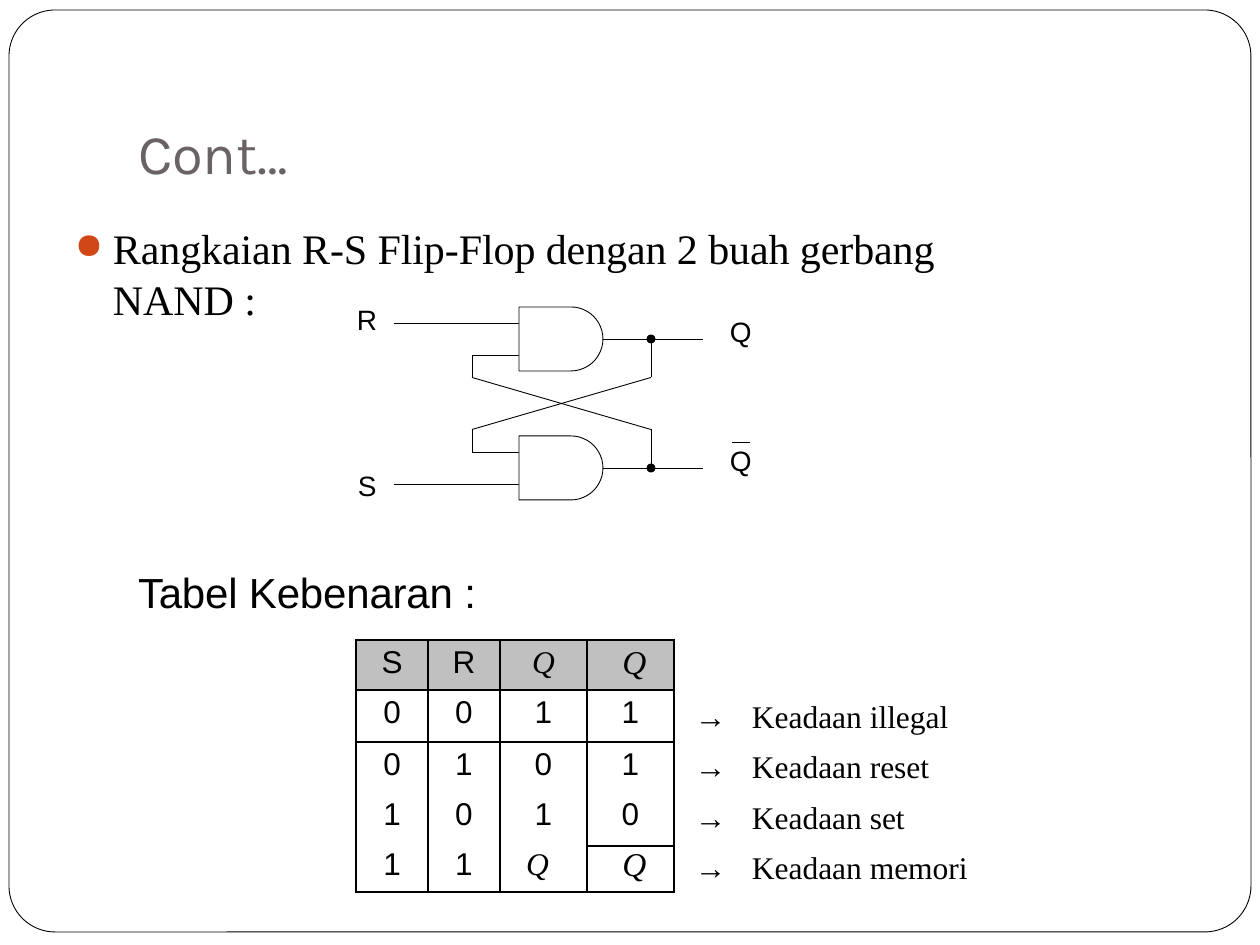
import math
import pptx
import pptx.dml.color
import pptx.enum.shapes
import pptx.enum.text
import pptx.oxml
import pptx.oxml.ns
import pptx.util
from lxml import etree

PX = 914400 / 126
ALIGN = pptx.enum.text.PP_ALIGN
SHAPE = pptx.enum.shapes.MSO_SHAPE
SANS, SERIF = "Arial", "Times New Roman"
BLACK, GREY = "000000", "C0C0C0"


def px(*vals):
    return [round(v * PX) for v in vals]


def rgb(code):
    return pptx.dml.color.RGBColor.from_string(code)


def sub(parent, tag, **attrs):
    node = etree.SubElement(parent, pptx.oxml.ns.qn(tag))
    for key, val in attrs.items():
        node.set(key, str(val))
    return node


def write(para, text, size=18, font=SANS, color=BLACK, italic=False,
          spc=0, align=ALIGN.LEFT):
    """Add one formatted run to a paragraph."""
    para.alignment = align
    run = para.add_run()
    run.text = text
    run.font.size = pptx.util.Pt(size)
    run.font.name = font
    run.font.italic = italic
    run.font.color.rgb = rgb(color)
    if spc:
        run.font._element.set("spc", str(spc))


def setup(frame, top=0):
    frame.word_wrap = True
    frame.vertical_anchor = pptx.enum.text.MSO_ANCHOR.TOP
    frame.margin_left = frame.margin_right = frame.margin_bottom = 0
    frame.margin_top = px(top)[0]
    return frame


def label(slide, box, text, **fmt):
    frame = setup(slide.shapes.add_textbox(*px(*box)).text_frame)
    write(frame.paragraphs[0], text, **fmt)
    return frame.paragraphs[0]


def paint(shape, fill=None):
    shape.shadow.inherit = False
    if fill:
        shape.fill.solid()
        shape.fill.fore_color.rgb = rgb(fill)
    else:
        shape.fill.background()
    shape.line.color.rgb = rgb(BLACK)
    shape.line.width = pptx.util.Pt(0.5)


def wire(slide, *points):
    """Join successive points with straight lines."""
    for start, end in zip(points, points[1:]):
        line = slide.shapes.add_connector(
            pptx.enum.shapes.MSO_CONNECTOR.STRAIGHT, *px(*start, *end))
        line.line.color.rgb = rgb(BLACK)
        line.line.width = pptx.util.Pt(0.5)
        sub(line._element.spPr, "a:effectLst")


def gate(slide, x, y, w, h):
    """D-shaped gate: a straight part, then a half circle."""
    r = h / 2
    arc = [(x + w - r + r * math.sin(a), y + r - r * math.cos(a))
           for a in (math.pi * i / 24 for i in range(25))]
    build = slide.shapes.build_freeform(*px(x, y))
    build.add_line_segments([px(*p) for p in arc + [(x, y + h)]], close=True)
    paint(build.convert_to_shape(), "FFFFFF")


def circuit(slide, x, y):
    """Two cross-coupled gates, inputs on the left, outputs on the right."""
    w, h, gap = 84, 64, 129
    left, loop, node, end = x + 125, x + 78, x + 257, x + 309
    mid = y + (gap + h) / 2
    for top, way in ((y, 1), (y + gap, -1)):
        axis = top + h / 2
        outer, inner = axis - 16 * way, axis + 16 * way
        near, far = mid - 26 * way, mid + 26 * way
        wire(slide, (x, outer), (left, outer))
        wire(slide, (left, inner), (loop, inner), (loop, near),
             (node, far), (node, axis + gap * way))
        wire(slide, (left + w, axis), (end, axis))
        gate(slide, left, top, w, h)
        dot = slide.shapes.add_shape(SHAPE.OVAL, *px(node - 4, axis - 4, 8, 8))
        paint(dot, BLACK)
    for text, dx, dy in (("R", -37, -4), ("S", -36, 162),
                         ("Q", 336, 8), ("Q", 336, 137)):
        label(slide, (x + dx, y + dy, 26, 34), text, size=16, spc=20)
    wire(slide, (x + 338, y + 135), (x + 356, y + 135))


def border(cell, sides):
    props = cell._tc.get_or_add_tcPr()
    for side in "LRTB":
        line = sub(props, "a:ln" + side, w=12700 if side in sides else 0)
        if side in sides:
            sub(sub(line, "a:solidFill"), "a:srgbClr", val=BLACK)
        else:
            sub(line, "a:noFill")


def truth(slide, x, y):
    """Truth table with the state names to its right."""
    rows = ["SRQQ", "0011", "0101", "1010", "11QQ"]
    wide, high = [72, 72, 87, 87], [50, 52, 50, 54, 46]
    table = slide.shapes.add_table(
        5, 4, *px(x, y, sum(wide), sum(high))).table
    table.first_row = table.horz_banding = False
    for col, size in zip(table.columns, wide):
        col.width = px(size)[0]
    for r, row in enumerate(rows):
        table.rows[r].height = px(high[r])[0]
        for c, text in enumerate(row):
            cell = table.cell(r, c)
            sides = "LR" + ("T" if r < 3 or (r, c) == (4, 3) else "")
            if r in (0, 1, 4) or (r, c) == (3, 3):
                sides += "B"
            border(cell, sides)
            if r == 0:
                cell.fill.solid()
                cell.fill.fore_color.rgb = rgb(GREY)
            else:
                cell.fill.background()
            is_q = text == "Q"
            cell.margin_top = px(1 if r == 4 else 5)[0]
            cell.margin_bottom = 0
            cell.margin_left = px(8 if is_q and c == 3 else 0)[0]
            cell.margin_right = px(12 if is_q and (r, c) == (4, 2) else 0)[0]
            write(cell.text_frame.paragraphs[0], text, italic=is_q,
                  size=19 if is_q and c == 3 else 18,
                  font=SERIF if is_q else SANS, align=ALIGN.CENTER)

    # State names
    box = slide.shapes.add_textbox(*px(x + 339, y + 57, 275, 190))
    frame = setup(box.text_frame)
    for i, name in enumerate(("illegal", "reset", "set", "memori")):
        para = frame.add_paragraph() if i else frame.paragraphs[0]
        if i:
            para.space_before = pptx.util.Pt(7.2)
        tabs = sub(para._p.get_or_add_pPr(), "a:tabLst")
        sub(tabs, "a:tab", pos=px(57)[0], algn="l")
        write(para, "→")
        write(para, "\tKeadaan " + name, font=SERIF)


def heading(slide, x, y, w, h):
    title = slide.shapes.title
    title.left, title.top, title.width, title.height = px(x, y, w, h)
    write(setup(title.text_frame).paragraphs[0], "Cont…", size=32,
          font="Karla", color="696363")


def bullet(slide, x, y, w, h):
    para = label(slide, (x, y, w, h),
                 "Rangkaian R-S Flip-Flop dengan 2 buah gerbang NAND :",
                 size=24, font=SERIF, spc=-5)
    props = para._p.get_or_add_pPr()
    props.set("marL", str(px(39)[0]))
    props.set("indent", str(px(-38)[0]))
    sub(sub(props, "a:buClr"), "a:srgbClr", val="D24717")
    sub(props, "a:buSzPct", val=85000)
    sub(props, "a:buChar", char="●")


def main():
    deck = pptx.Presentation()
    deck.slide_width, deck.slide_height = px(1260, 945)
    slide = deck.slides.add_slide(deck.slide_layouts[5])

    # Rounded page frame
    frame = slide.shapes.add_shape(SHAPE.ROUNDED_RECTANGLE,
                                   *px(9, 10, 1242, 922))
    frame.adjustments[0] = 0.05
    paint(frame)

    heading(slide, 138, 118, 300, 70)
    bullet(slide, 74, 223, 905, 104)
    circuit(slide, 394, 307)
    label(slide, (138, 567, 345, 50), "Tabel Kebenaran :", size=24, spc=-10)
    truth(slide, 356, 640)
    deck.save("out.pptx")


if __name__ == "__main__":
    main()
